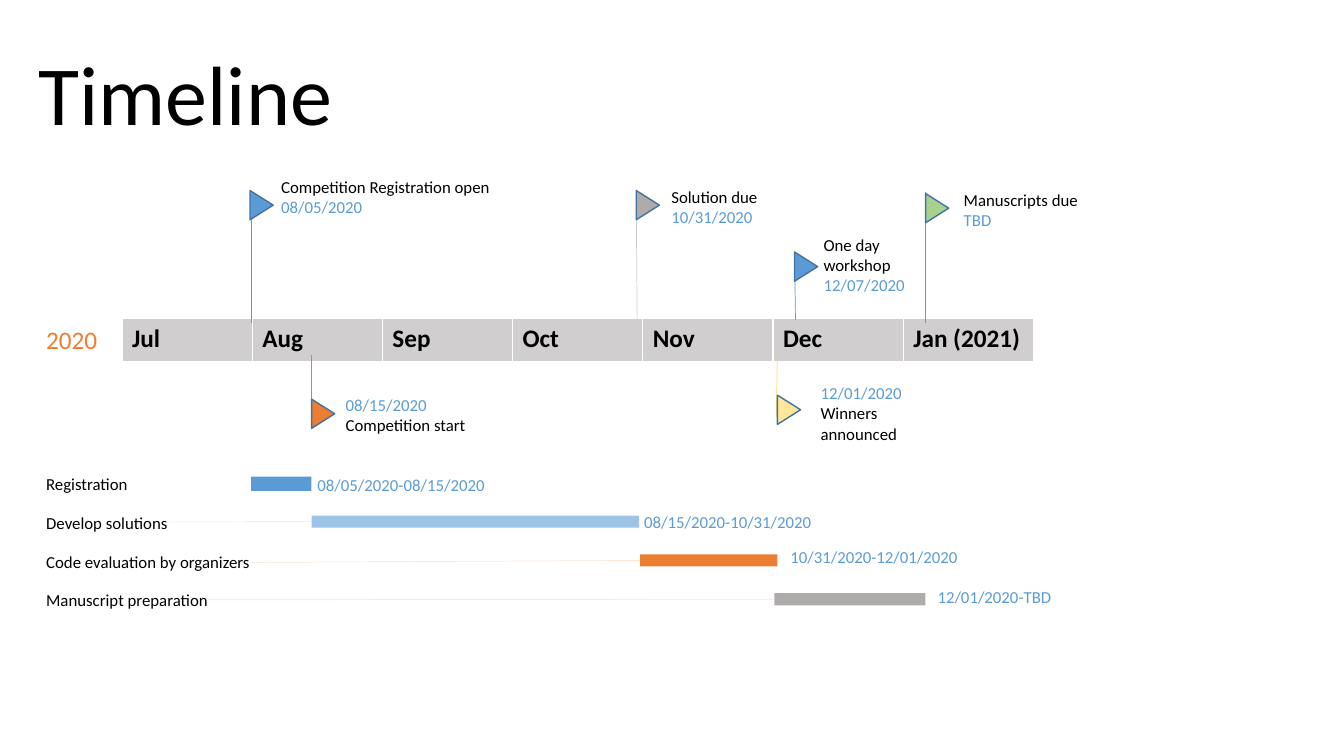
from lxml.etree import SubElement
from pptx import Presentation
from pptx.dml.color import RGBColor
from pptx.enum.shapes import MSO_CONNECTOR, MSO_SHAPE
from pptx.enum.text import MSO_ANCHOR, MSO_AUTO_SIZE, PP_ALIGN
from pptx.oxml.ns import qn
from pptx.util import Inches, Pt

COLORS = {
    "black": "000000", "white": "FFFFFF", "blue": "5B9BD5", "outline": "43739E",
    "light blue": "9DC3E6", "orange": "ED7D31", "peach": "F8CBAD",
    "gray": "AFABAB", "light gray": "D0CECE", "green": "70AD47",
    "light green": "A9D18E", "yellow": "FFD966", "light yellow": "FFE699",
}


def rgb(name):
    return RGBColor.from_string(COLORS[name])


class TimelineSlide:
    font = "Calibri"

    def __init__(self, deck):
        self.slide = deck.slides.add_slide(deck.slide_layouts[5])
        self.shapes = self.slide.shapes

    def style(self, para, color, size, bold=False):
        for run in para.runs:
            run.font.name = self.font
            run.font.size = Pt(size)
            run.font.bold = bold
            run.font.color.rgb = rgb(color)

    def title(self, text, left, top, width, height):
        title = self.shapes.title
        title.left, title.top = Inches(left), Inches(top)
        title.width, title.height = Inches(width), Inches(height)
        frame = title.text_frame
        frame.text = text
        frame.vertical_anchor = MSO_ANCHOR.BOTTOM
        para = frame.paragraphs[0]
        para.alignment = PP_ALIGN.CENTER
        para.line_spacing = 0.9
        self.style(para, "black", 60)

    def text(self, lines, left, top, width, height=0.3, size=12):
        """Each line is a pair of wording and colour name."""
        box = self.shapes.add_textbox(Inches(left), Inches(top), Inches(width), Inches(height))
        frame = box.text_frame
        frame.word_wrap = True
        frame.auto_size = MSO_AUTO_SIZE.SHAPE_TO_FIT_TEXT
        frame.text = "\n".join(wording for wording, color in lines)
        for para, (wording, color) in zip(frame.paragraphs, lines):
            self.style(para, color, size)

    def shape(self, kind, left, top, width, height, fill, outline=None):
        shape = self.shapes.add_shape(
            kind, Inches(left), Inches(top), Inches(width), Inches(height))
        shape.shadow.inherit = False
        shape.fill.solid()
        shape.fill.fore_color.rgb = rgb(fill)
        if outline:
            shape.line.color.rgb = rgb(outline)
            shape.line.width = Pt(1)
        else:
            shape.line.fill.background()
        return shape

    def flag(self, left, top, fill):
        flag = self.shape(MSO_SHAPE.ISOSCELES_TRIANGLE, left, top, 0.29, 0.23, fill, "outline")
        flag.rotation = 90

    def line(self, start, end, color, opacity=100):
        points = [Inches(value) for value in (*start, *end)]
        line = self.shapes.add_connector(MSO_CONNECTOR.STRAIGHT, *points)
        line.line.color.rgb = rgb(color)
        line.line.width = Pt(0.5)
        properties = line._element.spPr
        SubElement(properties, qn("a:effectLst"))
        if opacity < 100:
            tint = properties.find(".//" + qn("a:srgbClr"))
            SubElement(tint, qn("a:alpha"), val=str(opacity * 1000))

    def border(self, cell, side, points):
        edge = SubElement(cell._tc.get_or_add_tcPr(), qn("a:ln" + side), w=str(Pt(points)))
        fill = SubElement(edge, qn("a:solidFill"))
        SubElement(fill, qn("a:srgbClr"), val=COLORS["white"])

    def month_table(self, months, left, top, width, height):
        table = self.shapes.add_table(
            1, len(months), Inches(left), Inches(top), Inches(width), Inches(height)).table
        table.first_row = table.horz_banding = False
        for column, month in enumerate(months):
            table.columns[column].width = Inches(width / len(months))
            cell = table.cell(0, column)
            cell.text = month
            self.style(cell.text_frame.paragraphs[0], "black", 18, bold=True)
            for side, points in (("L", 1), ("R", 1), ("T", 1), ("B", 3)):
                self.border(cell, side, points)
            cell.fill.solid()
            cell.fill.fore_color.rgb = rgb("light gray")


deck = Presentation()
deck.slide_width, deck.slide_height = Inches(13.33), Inches(7.5)
page = TimelineSlide(deck)

# Title and month band
page.title("Timeline", 0.02, 0.02, 3.64, 1.46)
page.month_table(["Jul", "Aug", "Sep", "Oct", "Nov", "Dec", "Jan (2021)"], 1.21, 3.16, 9.04, 0.44)
page.text([("2020", "orange")], 0.36, 3.17, 0.89, 0.4, size=18)

# Milestones: flag place and fill, pole ends and colour, caption, caption place
milestones = [
    ((2.45, 1.92), "blue", (2.49, 1.9), (2.49, 3.2), "blue",
     [("Competition Registration open", "black"), ("08/05/2020", "blue")], (2.69, 1.7, 2.4, 0.71)),
    ((6.28, 1.92), "gray", (6.31, 1.93), (6.32, 3.22), "light gray",
     [("Solution due", "black"), ("10/31/2020", "blue")], (6.56, 1.8, 1.12, 0.7)),
    ((7.85, 2.53), "blue", (7.88, 2.5), (7.89, 3.17), "blue",
     [("One day workshop", "black"), ("12/07/2020", "blue")], (8.07, 2.28, 1.13, 0.9)),
    ((9.15, 1.95), "light green", (9.18, 1.9), (9.18, 3.2), "green",
     [("Manuscripts due", "black"), ("TBD", "blue")], (9.46, 1.83, 1.52, 0.5)),
    ((3.06, 3.99), "orange", (3.09, 3.52), (3.09, 4.13), "orange",
     [("08/15/2020", "blue"), ("Competition start", "black")], (3.33, 3.87, 1.5, 0.5)),
    ((7.68, 3.95), "light yellow", (7.71, 3.53), (7.7, 4.13), "yellow",
     [("12/01/2020", "blue"), ("Winners announced", "black")], (8.04, 3.75, 1.18, 0.71)),
]
for place, fill, pole_start, pole_end, pole_color, caption, caption_place in milestones:
    page.line(pole_start, pole_end, pole_color)
    page.flag(*place, fill)
    page.text(caption, *caption_place)

# Phases: label, bar left, width, height and fill, dates and their place, guide start
phases = [
    ("Registration", 2.49, 0.6, 0.14, "blue", "08/05/2020-08/15/2020", (3.05, 4.66), None),
    ("Develop solutions", 3.09, 3.25, 0.12, "light blue",
     "08/15/2020-10/31/2020", (6.29, 5.03), (1.65, 5.18)),
    ("Code evaluation by organizers", 6.35, 1.36, 0.12, "orange",
     "10/31/2020-12/01/2020", (7.74, 5.37), (2.49, 5.58)),
    ("Manuscript preparation", 7.68, 1.5, 0.12, "gray",
     "12/01/2020-TBD", (9.2, 5.77), (2.04, 5.95)),
]
for row, (label, left, width, height, fill, dates, dates_place, guide) in enumerate(phases):
    label_top = 4.65 + 0.385 * row
    bar_top = label_top + 0.08
    page.text([(label, "black")], 0.36, label_top, 2.64)
    page.shape(MSO_SHAPE.RECTANGLE, left, bar_top, width, height, fill)
    page.text([(dates, "blue")], *dates_place, 1.99)
    if guide:
        page.line(guide, (left, bar_top + height / 2), "peach", opacity=47)

deck.save("out.pptx")
